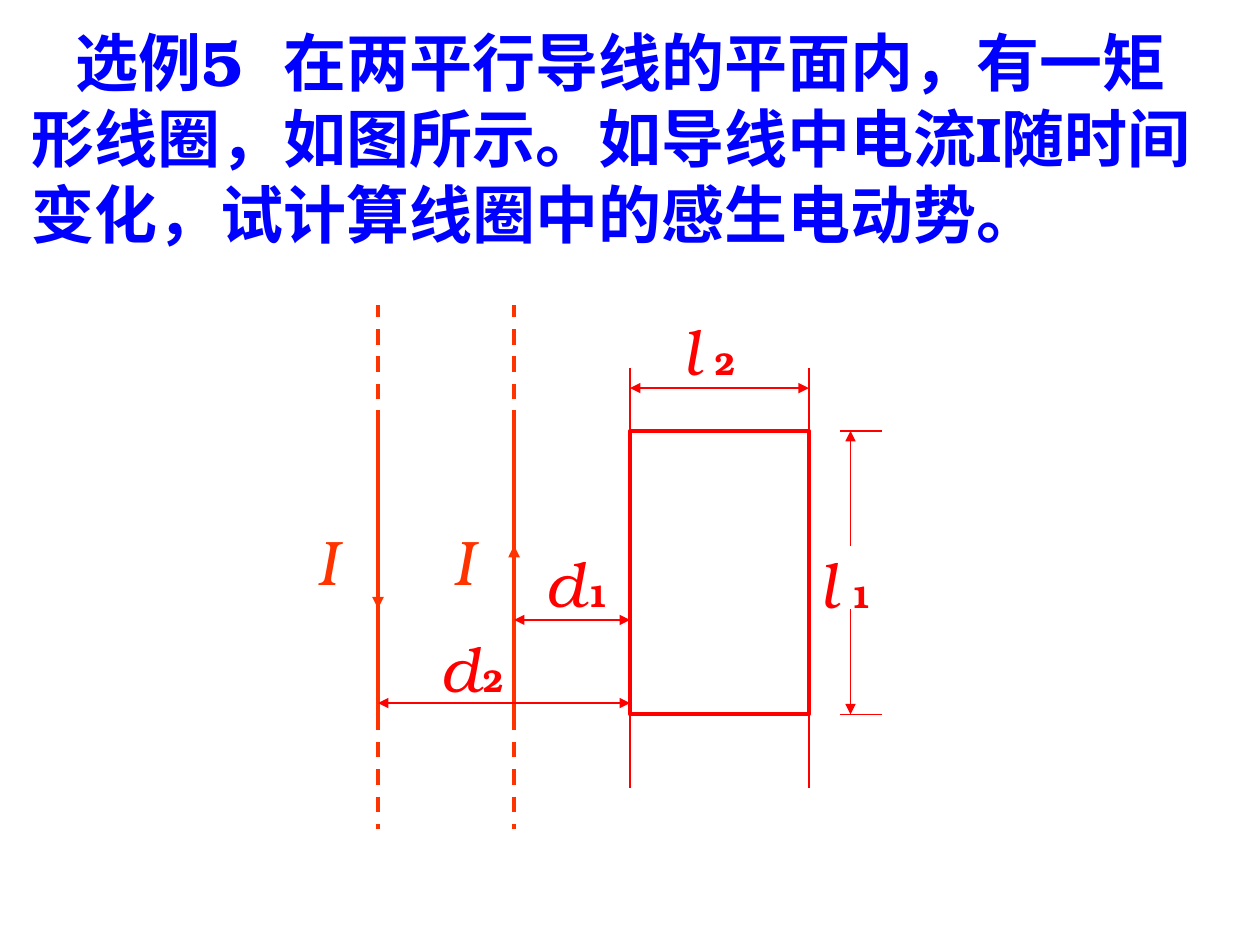
from lxml.etree import SubElement
from pptx import Presentation
from pptx.dml.color import RGBColor
from pptx.enum.dml import MSO_LINE
from pptx.enum.shapes import MSO_CONNECTOR, MSO_SHAPE
from pptx.oxml.ns import qn
from pptx.util import Inches, Pt

RED = "FF0000"
ORANGE = "FF3300"
BLUE = "0000FF"


def paint(code):
    return RGBColor.from_string(code)


def write(para, text, size=36, color=RED, bold=False, italic=False, space=1.0):
    run = para.add_run()
    run.text = text
    font = run.font
    font.name = Board.face
    font.size = Pt(size)
    font.bold = bold
    font.italic = italic
    font.color.rgb = paint(color)
    props = run._r.get_or_add_rPr()
    SubElement(props, qn("a:ea"), typeface=Board.face)
    para.line_spacing = space


class Board:
    face = "TeX Gyre Bonum"
    thin = 0.75
    thick = 2.25

    def __init__(self, slide):
        self.slide = slide

    def text(self, x, y, w, h, lines, pad=(0, 0), wrap=True, **style):
        box = self.slide.shapes.add_textbox(
            Inches(x), Inches(y), Inches(w), Inches(h))
        frame = box.text_frame
        frame.word_wrap = wrap
        frame.margin_left = frame.margin_right = Inches(pad[0])
        frame.margin_top = frame.margin_bottom = Inches(pad[1])
        for i, line in enumerate(lines):
            para = frame.add_paragraph() if i else frame.paragraphs[0]
            write(para, line, **style)
        return frame

    def title(self, lines, indent, stop):
        frame = self.text(0.15, 0.14, 9.64, 1.9, lines, pad=(0.1, 0.05),
                          wrap=False, color=BLUE, bold=True)
        props = frame.paragraphs[0]._p.get_or_add_pPr()
        props.set("indent", str(Inches(indent)))
        tabs = SubElement(props, qn("a:tabLst"))
        SubElement(tabs, qn("a:tab"), pos=str(Inches(stop)), algn="l")

    def line(self, x1, y1, x2, y2, color=RED, width=thin, dash=False, ends=()):
        link = self.slide.shapes.add_connector(
            MSO_CONNECTOR.STRAIGHT,
            Inches(x1), Inches(y1), Inches(x2), Inches(y2))
        link.line.color.rgb = paint(color)
        link.line.width = Pt(width)
        if dash:
            link.line.dash_style = MSO_LINE.DASH
        for end in ends:
            SubElement(link.line._get_or_add_ln(), qn(f"a:{end}End"),
                       type="triangle")
        SubElement(link._element.spPr, qn("a:effectLst"))

    def span(self, x1, y1, x2, y2):
        self.line(x1, y1, x2, y2, ends=("head", "tail"))

    def loop(self, x, y, w, h):
        rect = self.slide.shapes.add_shape(
            MSO_SHAPE.RECTANGLE, Inches(x), Inches(y), Inches(w), Inches(h))
        rect.shadow.inherit = False
        rect.fill.background()
        rect.line.color.rgb = paint(RED)
        rect.line.width = Pt(self.thick)

    def wire(self, x, end):
        style = dict(color=ORANGE, width=self.thick)
        self.line(x, 3.25, x, 5.67, **style)
        self.line(x, 4.33, x, 4.83, ends=(end,), **style)
        self.line(x, 5.67, x, 6.58, dash=True, **style)
        self.line(x, 3.17, x, 2.42, dash=True, **style)
        self.text(x - 0.58, 4.17, 0.46, 0.64, ["I"], pad=(0.1, 0.05),
                  color=ORANGE, italic=True, space=0.9)

    def label(self, x, y, name, sub, gap):
        self.text(x, y, gap, 0.6, [name], italic=True)
        self.text(x + max(gap, 0.25), y + 0.25, 0.17, 0.3, [sub],
                  size=18, bold=True)


def main():
    deck = Presentation()
    deck.slide_width, deck.slide_height = Inches(10), Inches(7.5)
    board = Board(deck.slides.add_slide(deck.slide_layouts[6]))

    board.title(["选例5\t在两平行导线的平面内，有一矩",
                 "形线圈，如图所示。如导线中电流I随时间",
                 "变化，试计算线圈中的感生电动势。"], 0.35, 2.26)

    far, near = 3, 4.08
    left, right, top, base = 5, 6.42, 3.42, 5.67
    board.wire(far, "tail")
    board.wire(near, "head")
    board.loop(left, top, right - left, base - top)

    for x in (left, right):
        board.line(x, top - 0.5, x, top)
        board.line(x, base, x, base + 0.58)
    for y, start in ((top, 4.33), (base, 4.83)):
        board.line(6.67, y, 7, y)
        board.line(6.75, start, 6.75, y, ends=("tail",))

    board.span(left, 3.08, right, 3.08)
    board.span(near, 4.92, left, 4.92)
    board.span(far, 5.58, left, 5.58)

    for x, y, name, sub, gap in ((6.5, 4.33, "l", "1", 0.21),
                                 (5.42, 2.48, "l", "2", 0.21),
                                 (4.33, 4.32, "d", "1", 0.33),
                                 (3.5, 5, "d", "2", 0.33)):
        board.label(x, y, name, sub, gap)

    deck.save("out.pptx")


if __name__ == "__main__":
    main()
